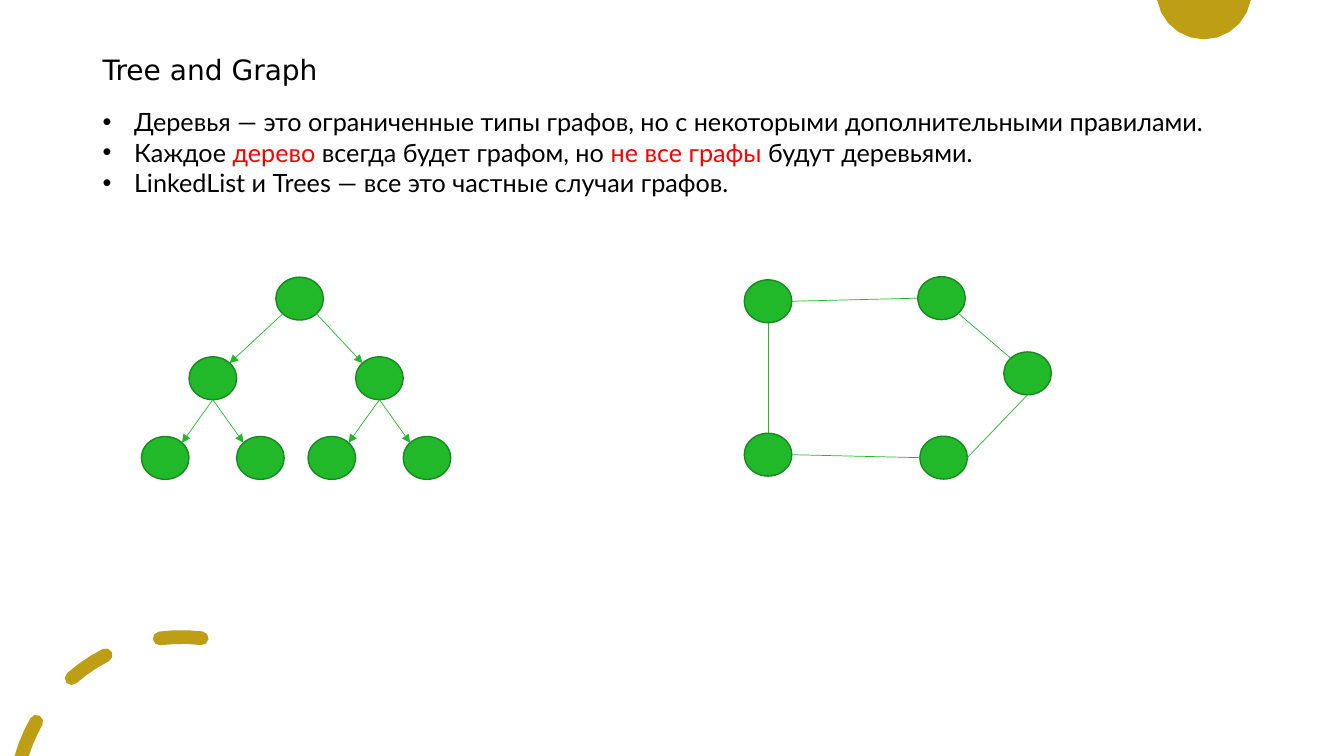
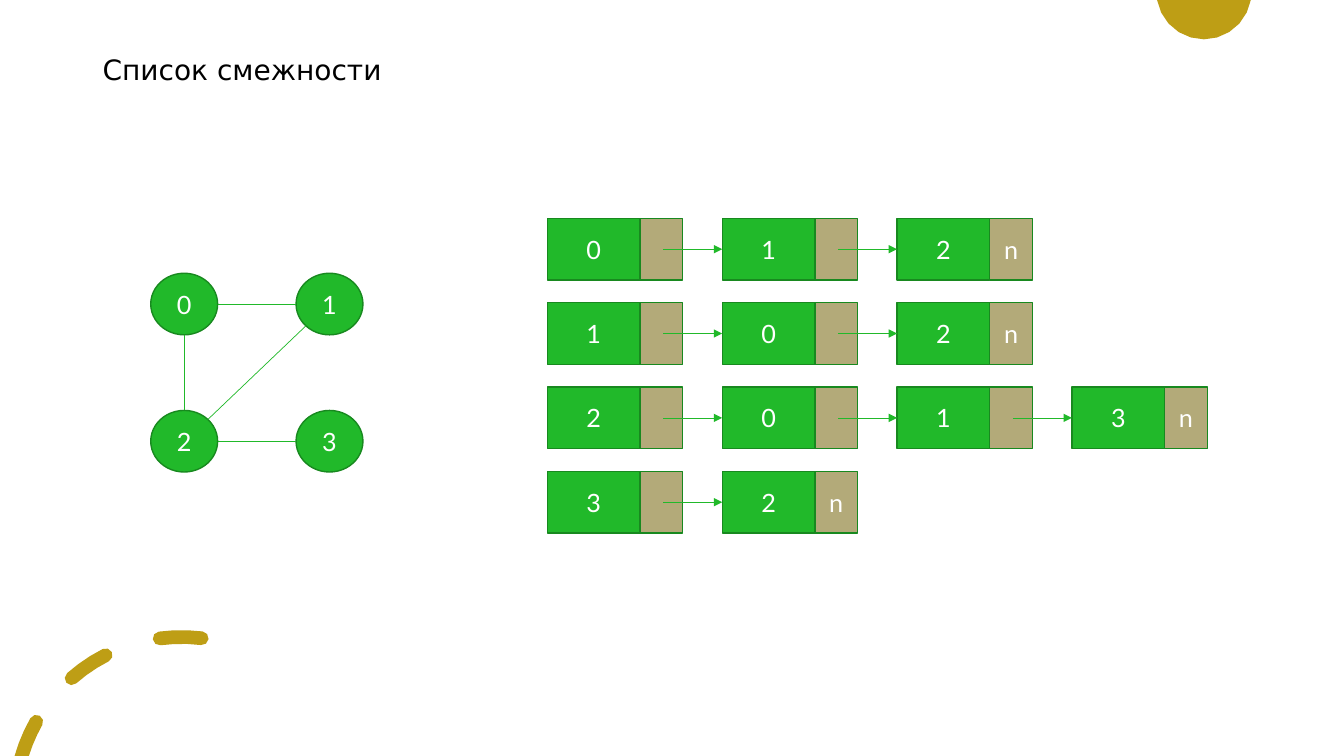
import math

import lxml.etree
import pptx
import pptx.dml.color
import pptx.enum.shapes
import pptx.enum.text
import pptx.oxml.ns
import pptx.util

Pt = pptx.util.Pt
qn = pptx.oxml.ns.qn
SHAPES = pptx.enum.shapes.MSO_SHAPE
ALIGN = pptx.enum.text.PP_ALIGN
ANCHOR = pptx.enum.text.MSO_ANCHOR

# Shared style
WIDTH, HEIGHT = 960, 540
GOLD, GREEN, DARK_GREEN, KHAKI = "BE9E15", "21B92A", "18891F", "B3AA79"
BLACK, WHITE, RED = "000000", "FFFFFF", "FF0000"
TITLE_FONT, BODY_FONT = "DejaVu Sans", "Lato"

# Dashes of the corner ring: outer start, inner start and end angle;
# the first one is cut off by the bottom edge of the page
RING_DASHES = ((164.04, 162.63, 150.5), (131.2, 131.2, 117), (97.5, 97.5, 83))

# Connection sites of an ellipse, counterclockwise from the top
(TOP, TOP_LEFT, LEFT, BOTTOM_LEFT,
 BOTTOM, BOTTOM_RIGHT, RIGHT, TOP_RIGHT) = range(8)
RECTANGLE_LEFT = 1


def color(value):
    return pptx.dml.color.RGBColor.from_string(value)


def set_font(font, name, size, value):
    font.name = name
    font.size = Pt(size)
    font.color.rgb = color(value)


# Page decoration
def polar(x, y, radius, degrees):
    angle = math.radians(degrees)
    return x + radius * math.cos(angle), y - radius * math.sin(angle)


def arc(x, y, radius, start, end, steps):
    return [polar(x, y, radius, start + (end - start) * step / steps)
            for step in range(steps + 1)]


def ring_dash(outer_start, inner_start, end):
    x, y, radius, half = 129.6, 574.1, 119.1, 4.9
    points = arc(x, y, radius + half, outer_start, end, 3)
    points += arc(*polar(x, y, radius, end), half, end, end - 180, 4)[1:-1]
    points += arc(x, y, radius - half, end, inner_start, 3)
    if outer_start == inner_start:
        points += arc(*polar(x, y, radius, outer_start), half,
                      outer_start + 180, outer_start, 4)[1:-1]
    return points


def add_outline(page, contours):
    """Draw one filled outline made of closed contours."""
    contours = [[(Pt(x), Pt(y)) for x, y in points] for points in contours]
    builder = page.shapes.build_freeform(*contours[0][0])
    for index, points in enumerate(contours):
        if index:
            builder.move_to(*points[0])
        builder.add_line_segments(points[1:], close=True)
    outline = builder.convert_to_shape()
    outline.shadow.inherit = False
    outline.fill.solid()
    outline.fill.fore_color.rgb = color(GOLD)
    outline.line.fill.background()


def add_text_box(page, left, top, width, height):
    box = page.shapes.add_textbox(Pt(left), Pt(top), Pt(width), Pt(height))
    box.text_frame.word_wrap = True
    return box.text_frame


def add_page(deck, title):
    page = deck.slides.add_slide(deck.slide_layouts[6])
    add_outline(page, [arc(860, -5.9, 34, 190, 350, 10)])
    add_outline(page, [ring_dash(*angles) for angles in RING_DASHES])
    frame = add_text_box(page, 66.2, 28.8, 820, 44)
    frame.vertical_anchor = ANCHOR.MIDDLE
    para = frame.paragraphs[0]
    para.text = title
    para.line_spacing = 0.9
    set_font(para.font, TITLE_FONT, 20, BLACK)
    return page


# Text
def add_bullets(page, items):
    """Each item is a list of (text, colour) spans."""
    frame = add_text_box(page, 66.2, 72.7, 803, 72.7)
    frame.auto_size = pptx.enum.text.MSO_AUTO_SIZE.SHAPE_TO_FIT_TEXT
    for index, spans in enumerate(items):
        para = frame.add_paragraph() if index else frame.paragraphs[0]
        properties = para._p.get_or_add_pPr()
        properties.set("marL", str(Pt(22.5)))
        properties.set("indent", str(-Pt(22.5)))
        lxml.etree.SubElement(properties, qn("a:buFont")).set("typeface", "Arial")
        lxml.etree.SubElement(properties, qn("a:buChar")).set("char", "•")
        set_font(para.font, BODY_FONT, 18, BLACK)
        for text, value in spans:
            span = para.add_run()
            span.text = text
            if value != BLACK:
                span.font.color.rgb = color(value)


# Nodes and cells
def add_cell(page, kind, left, top, width, height, text="", fill=GREEN):
    cell = page.shapes.add_shape(kind, Pt(left), Pt(top), Pt(width), Pt(height))
    cell.shadow.inherit = False
    cell.fill.solid()
    cell.fill.fore_color.rgb = color(fill)
    cell.line.color.rgb = color(DARK_GREEN)
    cell.line.width = Pt(1)
    if text:
        cell.text_frame.vertical_anchor = ANCHOR.MIDDLE
        para = cell.text_frame.paragraphs[0]
        para.text = text
        para.alignment = ALIGN.CENTER
        set_font(para.font, BODY_FONT, 18, WHITE)
    return cell


def add_node(page, x, y, width=34, height=30.6, text=""):
    """Draw an ellipse centred on x, y."""
    return add_cell(page, SHAPES.OVAL, x - width / 2, y - height / 2, width, height, text)


# Lines
def add_line(page, begin, end, arrow=False):
    line = page.shapes.add_connector(
        pptx.enum.shapes.MSO_CONNECTOR.STRAIGHT, *map(int, begin + end))
    line.line.color.rgb = color(GREEN)
    line.line.width = Pt(0.5)
    properties = line._element.spPr
    if arrow:
        tail = lxml.etree.SubElement(properties.find(qn("a:ln")), qn("a:tailEnd"))
        tail.set("type", "triangle")
    lxml.etree.SubElement(properties, qn("a:effectLst"))
    return line


def site_point(node, site):
    angle = math.radians(90 + 45 * site)
    return (node.left + node.width / 2 * (1 + math.cos(angle)),
            node.top + node.height / 2 * (1 - math.sin(angle)))


def add_edge(page, first, first_site, second, second_site, arrow=False):
    """Join two ellipses at the given connection sites."""
    line = add_line(page, site_point(first, first_site),
                    site_point(second, second_site), arrow)
    joints = line._element.find(".//" + qn("p:cNvCxnSpPr"))
    for tag, node, site in (("a:stCxn", first, first_site),
                            ("a:endCxn", second, second_site)):
        joint = lxml.etree.SubElement(joints, qn(tag))
        joint.set("id", str(node.shape_id))
        joint.set("idx", str(site))


# Diagrams
def add_tree(page):
    root = add_node(page, 214, 213.3)
    branches = ((152, BOTTOM_LEFT, TOP_RIGHT), (271, BOTTOM_RIGHT, TOP_LEFT))
    for x, root_site, branch_site in branches:
        branch = add_node(page, x, 270.2)
        add_edge(page, root, root_site, branch, branch_site, arrow=True)
        for offset, leaf_site in ((-34, TOP_RIGHT), (34, TOP_LEFT)):
            leaf = add_node(page, x + offset, 327.1)
            add_edge(page, branch, BOTTOM, leaf, leaf_site, arrow=True)


def add_ring_graph(page):
    centers = ((548.6, 215.2), (672.5, 213), (734, 266.7), (674, 326.9), (548.6, 324.8))
    nodes = [add_node(page, x, y) for x, y in centers]
    sites = ((RIGHT, LEFT), (BOTTOM_RIGHT, TOP_LEFT), (BOTTOM, RIGHT),
             (LEFT, RIGHT), (TOP, BOTTOM))
    for index, (begin, end) in enumerate(sites):
        add_edge(page, nodes[index], begin, nodes[(index + 1) % len(nodes)], end)


def add_numbered_graph(page):
    nodes = [add_node(page, 131.6 + 103.8 * (number % 2), 217.2 + 98 * (number // 2),
                      47.8, 44, str(number)) for number in range(4)]
    for first, first_site, second, second_site in (
            (0, RIGHT, 1, LEFT), (1, BOTTOM_LEFT, 2, TOP_RIGHT),
            (0, BOTTOM, 2, TOP), (3, LEFT, 2, RIGHT)):
        add_edge(page, nodes[first], first_site, nodes[second], second_site)


def add_linked_list(page, top, values):
    value_width, pointer_width, height = 66.2, 30.5, 44
    previous_pointer = None
    for index, value in enumerate(values):
        left = 391 + 124.9 * index
        cell = add_cell(page, SHAPES.RECTANGLE, left, top, value_width, height, value)
        if previous_pointer is not None:
            begin = (previous_pointer.left + Pt(16.5),
                     previous_pointer.top + previous_pointer.height / 2)
            arrow = add_line(page, begin, (cell.left, begin[1]), arrow=True)
            arrow.end_connect(cell, RECTANGLE_LEFT)
        previous_pointer = add_cell(
            page, SHAPES.RECTANGLE, left + value_width, top, pointer_width, height,
            "n" if index == len(values) - 1 else "", KHAKI)


def main():
    deck = pptx.Presentation()
    deck.slide_width, deck.slide_height = Pt(WIDTH), Pt(HEIGHT)

    # Trees and graphs
    page = add_page(deck, "Tree and Graph")
    add_bullets(page, [
        [("Деревья — это ограниченные типы графов, но с некоторыми "
          "дополнительными правилами.", BLACK)],
        [("Каждое ", BLACK), ("дерево", RED), (" всегда будет графом, но ", BLACK),
         ("не все графы ", RED), ("будут деревьями.", BLACK)],
        [("LinkedList и Trees — все это частные случаи графов.", BLACK)],
    ])
    add_tree(page)
    add_ring_graph(page)

    # Adjacency list
    page = add_page(deck, "Список смежности")
    add_numbered_graph(page)
    for row, values in enumerate(("012", "102", "2013", "32")):
        add_linked_list(page, 156 + 60.25 * row, values)

    deck.save("out.pptx")


if __name__ == "__main__":
    main()
